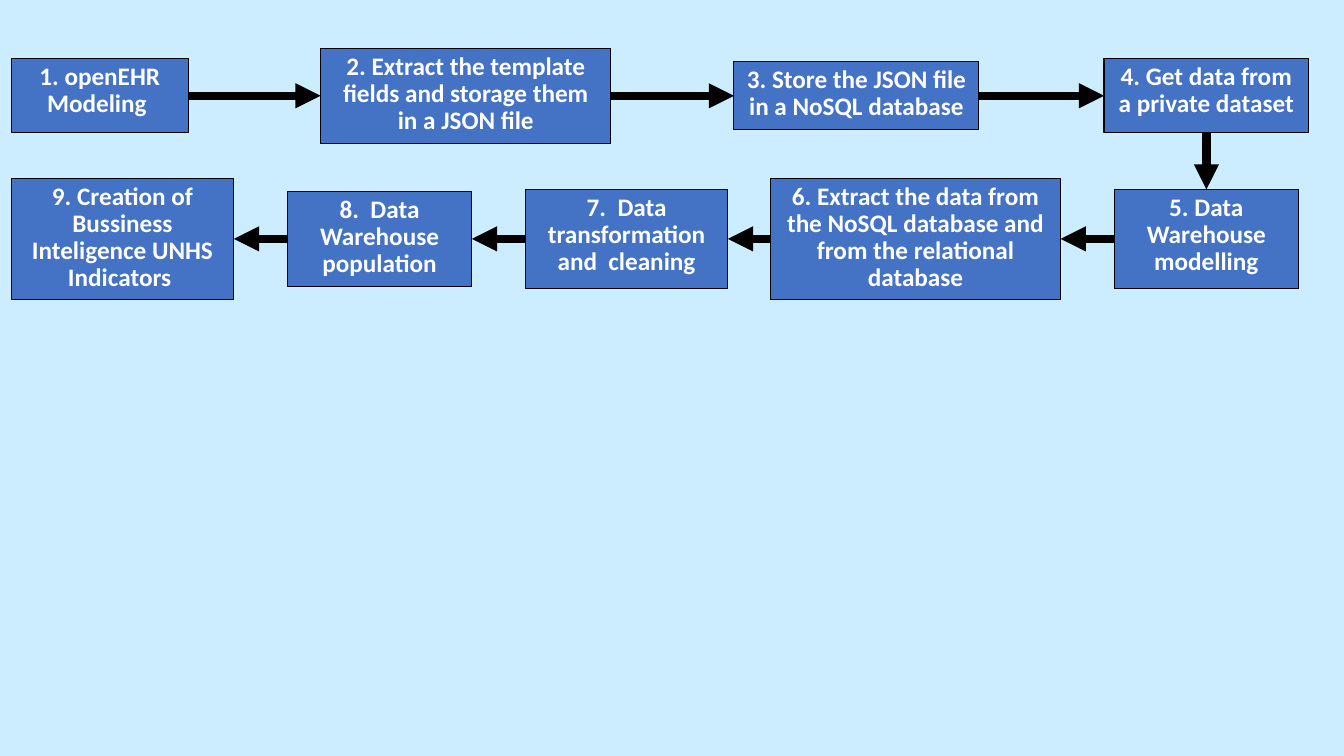
"""Build a slide showing a nine-step data warehouse process in two rows."""
import itertools

import pptx
import pptx.dml.color
import pptx.enum.shapes
import pptx.enum.text
import pptx.oxml
import pptx.oxml.ns
import pptx.util

Inches = pptx.util.Inches
Pt = pptx.util.Pt

TOP, LEFT, BOTTOM, RIGHT = range(4)
ROW_LEFT, ROW_WIDTH = 0.11, 12.87

FIRST_STEPS = [
    (0, 1.76, 0.73, "1. openEHR Modeling "),
    (3.07, 2.88, 0.94, "2. Extract the template fields and storage them in a JSON file"),
    (7.17, 2.43, 0.67, "3. Store the JSON file in a NoSQL database"),
    (10.84, 2.03, 0.73, "4. Get data from a private dataset"),
]
LAST_STEPS = [
    (10.94, 1.83, 0.98, "5. Data Warehouse modelling"),
    (7.53, 2.88, 1.2, "6. Extract the data from the NoSQL database and from the relational database"),
    (5.1, 2.01, 0.98, "7.  Data transformation and  cleaning"),
    (2.74, 1.83, 0.94, "8.  Data Warehouse population"),
    (0, 2.21, 1.2, "9. Creation of Bussiness Inteligence UNHS Indicators "),
]


def paint(color_format, value):
    """Set a colour from a hex string."""
    color_format.rgb = pptx.dml.color.RGBColor.from_string(value)


def add_step(page, left, top, width, height, text):
    """Add one labelled process box."""
    step = page.shapes.add_shape(
        pptx.enum.shapes.MSO_SHAPE.RECTANGLE,
        Inches(left), Inches(top), Inches(width), Inches(height))
    step.shadow.inherit = False
    step.fill.solid()
    paint(step.fill.fore_color, "4472C4")
    paint(step.line.color, "000000")
    step.line.width = Pt(0.75)
    frame = step.text_frame
    frame.word_wrap = True
    frame.vertical_anchor = pptx.enum.text.MSO_ANCHOR.TOP
    para = frame.paragraphs[0]
    para.alignment = pptx.enum.text.PP_ALIGN.CENTER
    para.line_spacing = 0.9
    para.space_before = Pt(10)
    span = para.add_run()
    span.text = text
    span.font.name = "Calibri"
    span.font.size = Pt(18)
    span.font.bold = True
    paint(span.font.color, "FFFFFF")
    return step


def add_arrow(page, source, source_side, target, target_side):
    """Join two steps with an arrow glued to their sides."""
    arrow = page.shapes.add_connector(
        pptx.enum.shapes.MSO_CONNECTOR.STRAIGHT, 0, 0, 0, 0)
    arrow.begin_connect(source, source_side)
    arrow.end_connect(target, target_side)
    paint(arrow.line.color, "000000")
    arrow.line.width = Pt(6)
    outline = arrow.line._get_or_add_ln()
    head = pptx.oxml.parse_xml(
        f'<a:tailEnd {pptx.oxml.ns.nsdecls("a")} type="triangle"/>')
    outline.append(head)
    effects = pptx.oxml.parse_xml(f'<a:effectLst {pptx.oxml.ns.nsdecls("a")}/>')
    outline.addnext(effects)


def add_row(page, box, steps, source_side, target_side):
    """Centre steps vertically in a row and link each to the next."""
    left, top, _, row_height = box
    shapes = [
        add_step(page, left + offset, top + (row_height - height) / 2, width, height, text)
        for offset, width, height, text in steps]
    for source, target in itertools.pairwise(shapes):
        add_arrow(page, source, source_side, target, target_side)
    return shapes


def build_process(page):
    """Lay out both rows and link the end of one to the start of the other."""
    paint_background = page.background.fill
    paint_background.solid()
    paint(paint_background.fore_color, "CCECFF")
    first = add_row(page, (ROW_LEFT, 0.48, ROW_WIDTH, 0.94), FIRST_STEPS, RIGHT, LEFT)
    last = add_row(page, (ROW_LEFT, 1.77, ROW_WIDTH, 1.2), LAST_STEPS, LEFT, RIGHT)
    add_arrow(page, first[-1], BOTTOM, last[0], TOP)


deck = pptx.Presentation()
deck.slide_width, deck.slide_height = Inches(13.33), Inches(7.5)
build_process(deck.slides.add_slide(deck.slide_layouts[6]))
deck.save("out.pptx")
